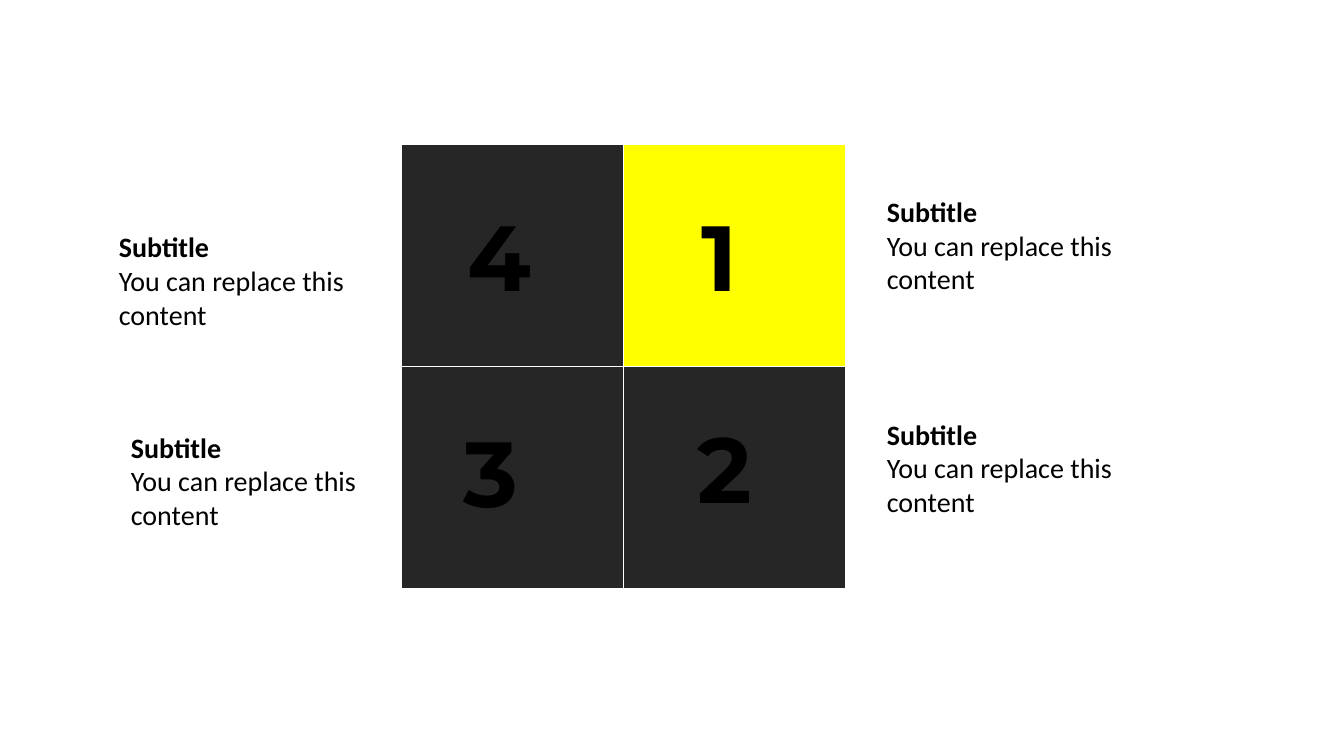
"""Build a slide with a two-by-two grid of numbered tiles and their captions."""
from pptx import Presentation
from pptx.dml.color import RGBColor
from pptx.enum.shapes import MSO_SHAPE as Shape
from pptx.enum.text import MSO_AUTO_SIZE as AutoSize
from pptx.util import Pt

BLACK = RGBColor(0x00, 0x00, 0x00)
WHITE = RGBColor(0xFF, 0xFF, 0xFF)
CHARCOAL = RGBColor(0x26, 0x26, 0x26)
YELLOW = RGBColor(0xFF, 0xFF, 0x00)

SUBTITLE, BODY = "Subtitle", "You can replace this content"
GRID_LEFT, GRID_TOP, TILE = 286.6, 103.1, 158.8
NUMBER_SIZE, CAPTION_SIZE = (84.2, 87.1), (208.8, 79.9)

QUADRANTS = [
    {"number": "1", "cell": (1, 0), "fill": YELLOW,
     "number_at": (493.9, 139), "caption_at": (626.4, 135.4)},
    {"number": "2", "cell": (1, 1), "fill": CHARCOAL,
     "number_at": (491, 290.2), "caption_at": (626.4, 294.5)},
    {"number": "3", "cell": (0, 1), "fill": CHARCOAL,
     "number_at": (324, 293), "caption_at": (86.4, 303.8)},
    {"number": "4", "cell": (0, 0), "fill": CHARCOAL,
     "number_at": (326.9, 139), "caption_at": (77.8, 160.6)},
]


def add_tile(page, cell, fill):
    column, row = cell
    tile = page.shapes.add_shape(
        Shape.RECTANGLE, Pt(GRID_LEFT + column * TILE),
        Pt(GRID_TOP + row * TILE), Pt(TILE), Pt(TILE))
    tile.shadow.inherit = False
    tile.fill.solid()
    tile.fill.fore_color.rgb = fill
    tile.line.color.rgb = WHITE
    tile.line.width = Pt(1)


def add_text(page, position, extent, lines, font, size):
    box = page.shapes.add_textbox(*map(Pt, position + extent))
    frame = box.text_frame
    frame.word_wrap = True
    frame.auto_size = AutoSize.SHAPE_TO_FIT_TEXT
    for index, (text, bold) in enumerate(lines):
        para = frame.add_paragraph() if index else frame.paragraphs[0]
        span = para.add_run()
        span.text = text
        span.font.name = font
        span.font.size = Pt(size)
        span.font.bold = bold
        span.font.color.rgb = BLACK


deck = Presentation()
deck.slide_width, deck.slide_height = Pt(960), Pt(540)
page = deck.slides.add_slide(deck.slide_layouts[6])

for quadrant in QUADRANTS:
    add_tile(page, quadrant["cell"], quadrant["fill"])
for quadrant in QUADRANTS:
    add_text(page, quadrant["number_at"], NUMBER_SIZE,
             [(quadrant["number"], True)], "Montserrat", 66)
    add_text(page, quadrant["caption_at"], CAPTION_SIZE,
             [(SUBTITLE, True), (BODY, False)], "Calibri", 20)

deck.save("out.pptx")
